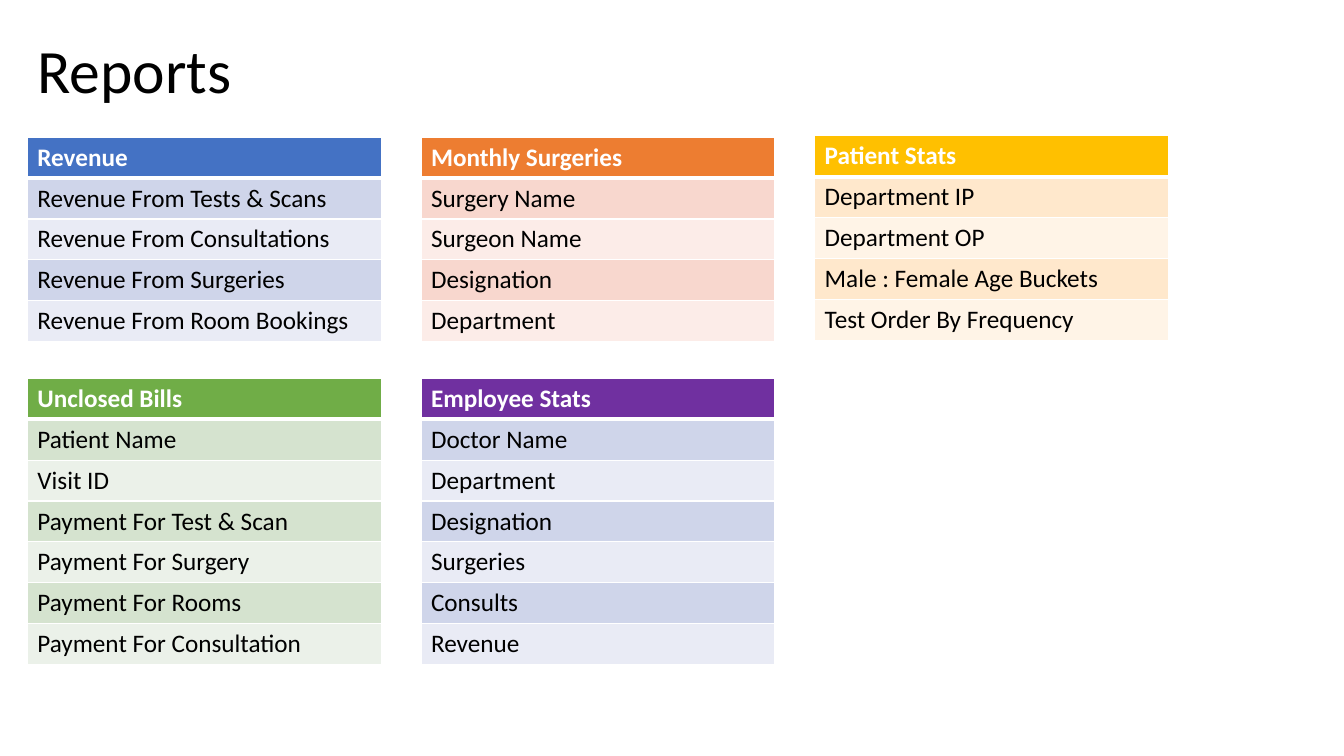
from dataclasses import dataclass
from lxml.etree import SubElement as Sub
from pptx import Presentation as Deck
from pptx.dml.color import RGBColor as Rgb
from pptx.enum.text import MSO_ANCHOR as Anchor, MSO_AUTO_SIZE as Fit, PP_ALIGN as Align
from pptx.oxml.ns import qn
from pptx.util import Pt


@dataclass(frozen=True)
class Theme:
    font: str = "Calibri"
    ink: str = "000000"
    paper: str = "FFFFFF"
    blue: tuple = ("4472C4", "CFD5EA", "E9EBF5")
    orange: tuple = ("ED7D31", "F8D7CE", "FCECE8")
    gold: tuple = ("FFC000", "FFE8CC", "FFF4E7")
    green: tuple = ("70AD47", "D5E3CF", "EBF1E9")
    purple: tuple = ("7030A0", "CFD5EA", "E9EBF5")
    head: int = 44
    body: int = 18
    thin: int = 1
    thick: int = 3


def apply(item, **values):
    for name, value in values.items():
        setattr(item, name, value)


class Page:
    def __init__(self, deck, theme):
        self.theme = theme
        self.slide = deck.slides.add_slide(deck.slide_layouts[5])

    def label(self, frame, text, size, color, bold=False):
        para = frame.paragraphs[0]
        para.alignment = Align.LEFT
        run = para.add_run()
        run.text = text
        apply(run.font, name=self.theme.font, size=Pt(size), bold=bold)
        run.font.color.rgb = Rgb.from_string(color)
        return para

    def title(self, text, left, top, width, height):
        shape = self.slide.shapes.title
        apply(shape, left=Pt(left), top=Pt(top), width=Pt(width), height=Pt(height))
        frame = shape.text_frame
        apply(frame, word_wrap=True, auto_size=Fit.NONE, vertical_anchor=Anchor.MIDDLE)
        para = self.label(frame, text, self.theme.head, self.theme.ink)
        para.line_spacing = 0.9

    def edge(self, cell, top, bottom):
        props = cell._tc.get_or_add_tcPr()
        thin = self.theme.thin
        sides = {"L": thin, "R": thin, "T": top, "B": bottom}
        for side, width in sides.items():
            line = Sub(props, qn(f"a:ln{side}"), w=str(Pt(width)))
            fill = Sub(line, qn("a:solidFill"))
            Sub(fill, qn("a:srgbClr"), val=self.theme.paper)

    def table(self, rows, tones, left, top, width, step):
        look = self.theme
        frame = self.slide.shapes.add_table(
            len(rows), 1, Pt(left), Pt(top), Pt(width), Pt(step * len(rows)))
        grid = frame.table
        for i, text in enumerate(rows):
            grid.rows[i].height = Pt(step)
            cell = grid.cell(i, 0)
            first = i == 0
            self.edge(cell, look.thick if i == 1 else look.thin,
                      look.thick if first else look.thin)
            cell.fill.solid()
            tone = tones[0] if first else tones[2 - i % 2]
            cell.fill.fore_color.rgb = Rgb.from_string(tone)
            color = look.paper if first else look.ink
            self.label(cell.text_frame, text, look.body, color, first)


def main():
    deck = Deck()
    apply(deck, slide_width=Pt(960), slide_height=Pt(540))
    theme = Theme()
    page = Page(deck, theme)
    left, width, pitch, step = 19.5, 252.75, 281.2, 29.2
    upper, lower = 98, 270.25
    page.title("Reports", left, 0, 828, 104.4)
    lists = [
        (0, upper, theme.blue, [
            "Revenue", "Revenue From Tests & Scans", "Revenue From Consultations",
            "Revenue From Surgeries", "Revenue From Room Bookings"]),
        (1, upper, theme.orange, [
            "Monthly Surgeries", "Surgery Name", "Surgeon Name",
            "Designation", "Department"]),
        (0, lower, theme.green, [
            "Unclosed Bills", "Patient Name", "Visit ID", "Payment For Test & Scan",
            "Payment For Surgery", "Payment For Rooms", "Payment For Consultation"]),
        (2, upper - 1, theme.gold, [
            "Patient Stats", "Department IP", "Department OP",
            "Male : Female Age Buckets", "Test Order By Frequency"]),
        (1, lower, theme.purple, [
            "Employee Stats", "Doctor Name", "Department", "Designation",
            "Surgeries", "Consults", "Revenue"]),
    ]
    for col, top, tones, rows in lists:
        page.table(rows, tones, left + col * pitch, top, width, step)
    deck.save("out.pptx")


if __name__ == "__main__":
    main()
